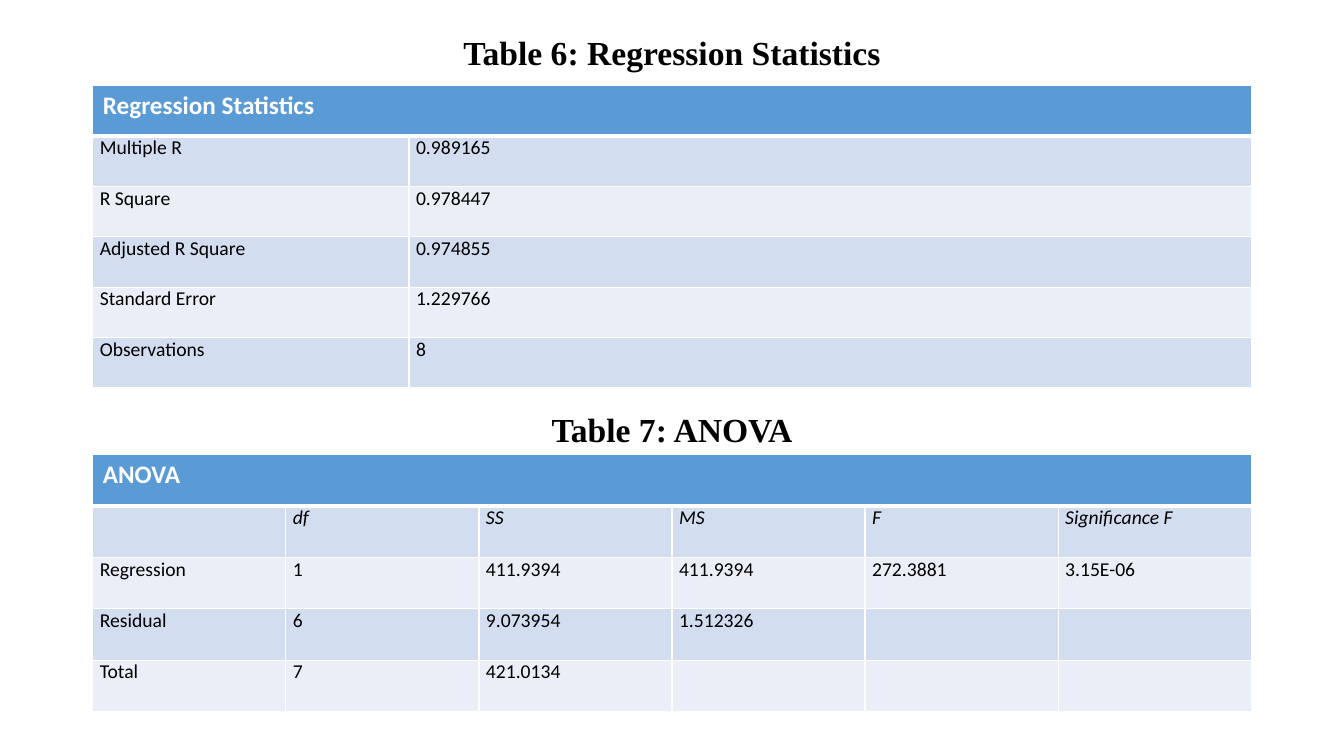
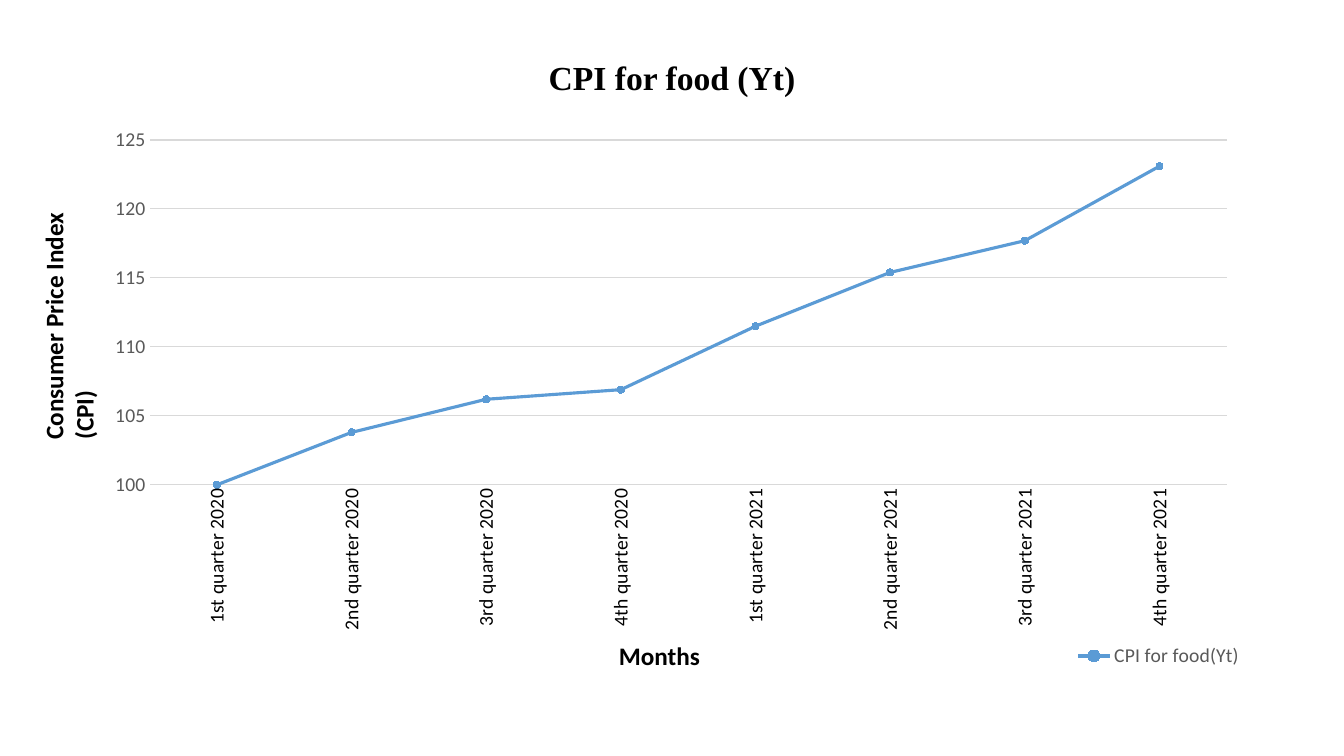
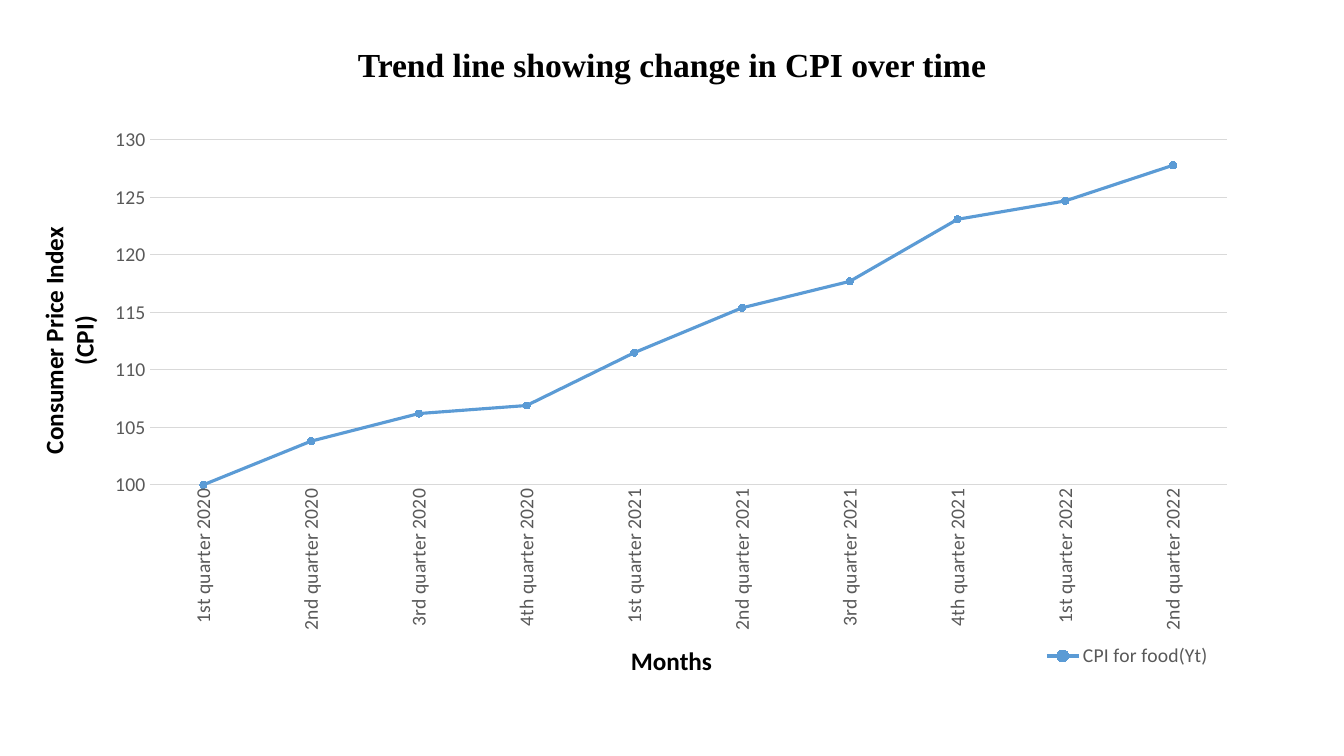
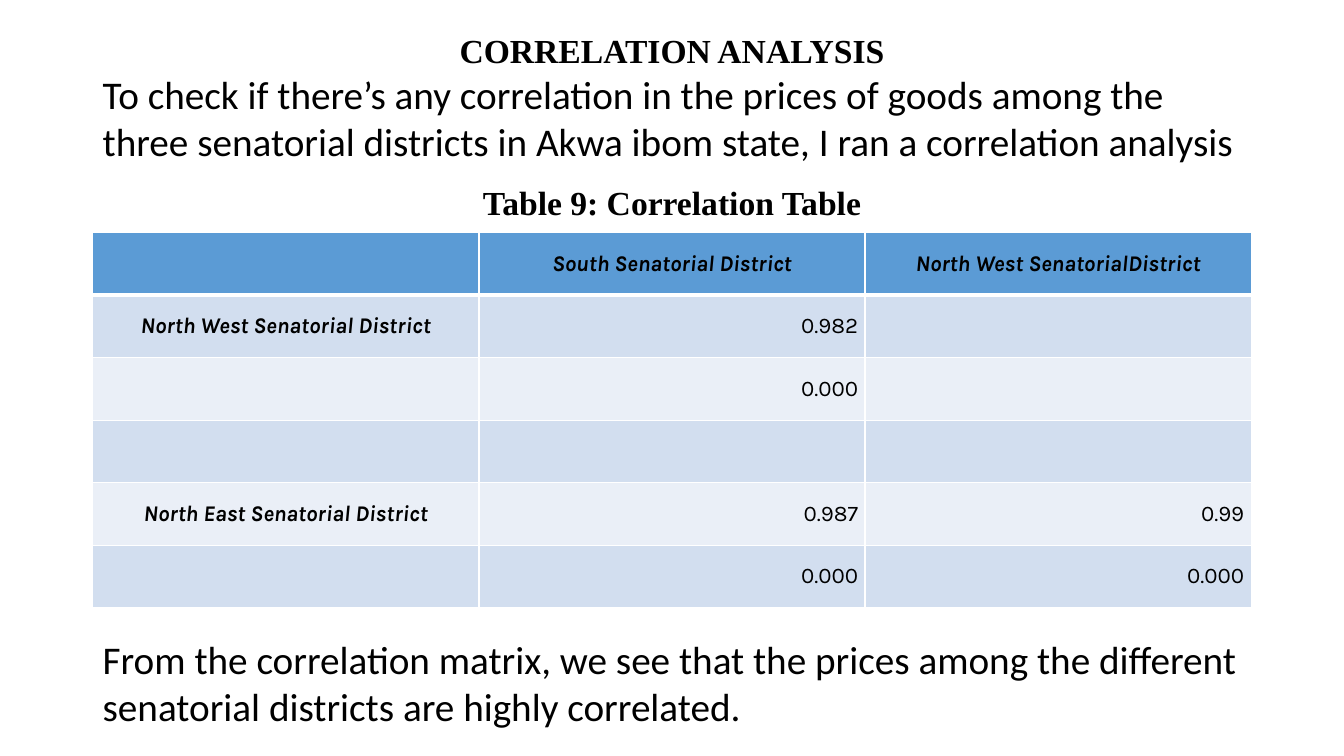
from dataclasses import dataclass
from typing import Callable, NamedTuple

from pptx import Presentation
from pptx.chart.data import CategoryChartData
from pptx.dml.color import RGBColor
from pptx.enum.chart import XL_CHART_TYPE, XL_LEGEND_POSITION, XL_MARKER_STYLE, XL_TICK_MARK
from pptx.enum.text import MSO_ANCHOR, PP_ALIGN
from pptx.oxml import parse_xml
from pptx.oxml.ns import nsdecls
from pptx.util import Inches, Pt

LEFT, CENTER, RIGHT = PP_ALIGN.LEFT, PP_ALIGN.CENTER, PP_ALIGN.RIGHT
TOP, MIDDLE = MSO_ANCHOR.TOP, MSO_ANCHOR.MIDDLE
LINE_MARKERS = XL_CHART_TYPE.LINE_MARKERS
LEGEND_BOTTOM = XL_LEGEND_POSITION.BOTTOM
CIRCLE = XL_MARKER_STYLE.CIRCLE
NO_TICK = XL_TICK_MARK.NONE

BLACK = RGBColor(0x00, 0x00, 0x00)
WHITE = RGBColor(0xFF, 0xFF, 0xFF)
GREY = RGBColor(0x59, 0x59, 0x59)
GRID_GREY = RGBColor(0xD9, 0xD9, 0xD9)
BLUE = RGBColor(0x5B, 0x9B, 0xD5)
BAND_DARK = RGBColor(0xD2, 0xDE, 0xEF)
BAND_LIGHT = RGBColor(0xEA, 0xEF, 0xF7)

SLIDE_WIDTH, SLIDE_HEIGHT = 13.33, 7.5
MARGIN = 0.92
CONTENT_WIDTH = SLIDE_WIDTH - 2 * MARGIN
HEADING_HEIGHT = 0.5
TITLE_ONLY = 5


class Box(NamedTuple):
    left: float
    top: float
    width: float
    height: float

    def emu(self) -> list:
        return [Inches(length) for length in self]


class Look(NamedTuple):
    size: float
    font: str = "Calibri"
    color: RGBColor = BLACK
    bold: bool = False
    italic: bool = False
    align: PP_ALIGN = LEFT
    anchor: MSO_ANCHOR = TOP
    inset: tuple = (0.07, 0)


HEADING = Look(24, "Times New Roman", bold=True, align=CENTER, anchor=MIDDLE)
BODY = Look(28)
AXIS_TITLE = Look(18, bold=True)
TABLE_BANNER = Look(18, color=WHITE, bold=True, inset=(0.1, 0.05))
TABLE_TEXT = Look(14)
DISTRICT = Look(16, "Karla", bold=True, italic=True, align=CENTER, anchor=MIDDLE)
COEFFICIENT = DISTRICT._replace(bold=False, italic=False, align=RIGHT)


@dataclass
class DataTable:
    top: float
    row_height: float
    shares: list[float]
    rows: list[list[str]]
    look_at: Callable[[int, int], Look]


@dataclass
class PriceChart:
    title: str
    title_top: float
    quarters: int
    label_color: RGBColor
    axis_line: bool
    legend_left: float
    months: Box
    index_top: float
    index_align: PP_ALIGN


CPI = [100, 103.8, 106.2, 106.9, 111.5, 115.4, 117.7, 123.1, 124.7, 127.8]
QUARTERS = [f"{nth} quarter {year}" for year in (2020, 2021, 2022)
            for nth in ("1st", "2nd", "3rd", "4th")]


def regression_look(row: int, col: int) -> Look:
    return TABLE_TEXT if row else TABLE_BANNER


def anova_look(row: int, col: int) -> Look:
    return TABLE_TEXT._replace(italic=True) if row == 1 else regression_look(row, col)


def correlation_look(row: int, col: int) -> Look:
    return COEFFICIENT if row and col else DISTRICT


REGRESSION = DataTable(0.85, 0.5, [0.273, 0.727], [
    ["Regression Statistics"],
    ["Multiple R", "0.989165"],
    ["R Square", "0.978447"],
    ["Adjusted R Square", "0.974855"],
    ["Standard Error", "1.229766"],
    ["Observations", "8"],
], regression_look)

ANOVA = DataTable(4.51, 0.51, [1 / 6] * 6, [
    ["ANOVA"],
    ["", "df", "SS", "MS", "F", "Significance F"],
    ["Regression", "1", "411.9394", "411.9394", "272.3881", "3.15E-06"],
    ["Residual", "6", "9.073954", "1.512326", "", ""],
    ["Total", "7", "421.0134", "", "", ""],
], anova_look)

CORRELATION = DataTable(2.31, 0.62, [1 / 3] * 3, [
    ["", "South Senatorial District", "North West SenatorialDistrict"],
    ["North West Senatorial District", "0.982", ""],
    ["", "0.000", ""],
    ["", "", ""],
    ["North East Senatorial District", "0.987", "0.99"],
    ["", "0.000", "0.000"],
], correlation_look)

CHARTS = [
    PriceChart("CPI for food (Yt)", 0.51, 8, BLACK, False, 0.845,
               Box(5.36, 6.3, 2.36, 0.4), 1.7, LEFT),
    PriceChart("Trend line showing change in CPI over time", 0.39, 10, GREY, True, 0.818,
               Box(5.53, 6.35, 2.26, 0.4), 2.0, CENTER),
]


def set_font(font, look: Look) -> None:
    font.name, font.size = look.font, Pt(look.size)
    font.bold, font.italic = look.bold, look.italic
    font.color.rgb = look.color


def write(frame, text: str, look: Look) -> None:
    frame.word_wrap = True
    frame.vertical_anchor = look.anchor
    paragraph = frame.paragraphs[0]
    paragraph.text = text
    paragraph.alignment = look.align
    set_font(paragraph.font, look)


def add_text(slide, box: Box, text: str, look: Look):
    frame = slide.shapes.add_textbox(*box.emu()).text_frame
    write(frame, text, look)
    return frame


def heading_box(top: float) -> Box:
    return Box(MARGIN, top, CONTENT_WIDTH, HEADING_HEIGHT)


def add_titled_slide(deck, title: str, top: float):
    slide = deck.slides.add_slide(deck.slide_layouts[TITLE_ONLY])
    holder = slide.shapes.title
    holder.left, holder.top, holder.width, holder.height = heading_box(top).emu()
    write(holder.text_frame, title, HEADING)
    return slide


def add_borders(cell, bottom: float) -> None:
    """White edges of 1 pt, with the bottom width in points given."""
    properties = cell._tc.get_or_add_tcPr()
    top_of_cell = 1
    for side, points in zip("LRTB", (1, 1, top_of_cell, bottom)):
        properties.append(parse_xml(
            f'<a:ln{side} {nsdecls("a")} w="{Pt(points)}"><a:solidFill>'
            f'<a:srgbClr val="{WHITE}"/></a:solidFill></a:ln{side}>'))


def add_data_table(slide, spec: DataTable) -> None:
    box = Box(MARGIN, spec.top, CONTENT_WIDTH, spec.row_height * len(spec.rows))
    table = slide.shapes.add_table(len(spec.rows), len(spec.shares), *box.emu()).table
    for column, share in zip(table.columns, spec.shares):
        column.width = Inches(CONTENT_WIDTH * share)
    for r, texts in enumerate(spec.rows):
        table.rows[r].height = Inches(spec.row_height)
        for c in range(len(spec.shares)):
            cell = table.cell(r, c)
            add_borders(cell, 1 if r else 3)
            cell.fill.solid()
            cell.fill.fore_color.rgb = (BAND_DARK if r % 2 else BAND_LIGHT) if r else BLUE
            if c < len(texts) and texts[c]:
                look = spec.look_at(r, c)
                write(cell.text_frame, texts[c], look)
                cell.vertical_anchor = look.anchor
                cell.margin_left = cell.margin_right = Inches(look.inset[0])
                cell.margin_top = cell.margin_bottom = Inches(look.inset[1])
        if len(texts) == 1:
            table.cell(r, 0).merge(table.cell(r, len(spec.shares) - 1))


def layout_xml(share: Box, inner: bool = False):
    """Manual chart layout, in shares of the chart's size."""
    target = '<c:layoutTarget val="inner"/>' if inner else ""
    sizes = "".join(f'<c:{tag} val="{value}"/>' for tag, value in zip("xywh", share))
    return parse_xml(
        f'<c:layout {nsdecls("c")}><c:manualLayout>{target}<c:xMode val="edge"/>'
        f'<c:yMode val="edge"/>{sizes}</c:manualLayout></c:layout>')


def place_chart_parts(chart, legend_left: float) -> None:
    root = chart.element
    for old in root.xpath("c:chart/c:plotArea/c:layout | c:chart/c:legend/c:layout"):
        old.getparent().remove(old)
    plot_area = root.xpath("c:chart/c:plotArea")[0]
    plot_area.insert(0, layout_xml(Box(0.049, 0.041, 0.93, 0.611), inner=True))
    legend_position = root.xpath("c:chart/c:legend/c:legendPos")[0]
    legend_position.addnext(layout_xml(Box(legend_left, 0.925, 0.15, 0.06)))
    category_text = root.xpath("c:chart/c:plotArea/c:catAx/c:txPr/a:bodyPr")[0]
    category_text.set("rot", "-5400000")
    category_text.set("vert", "horz")


def add_price_chart(slide, spec: PriceChart) -> None:
    data = CategoryChartData()
    data.categories = QUARTERS[:spec.quarters]
    data.add_series("CPI for food(Yt)", CPI[:spec.quarters])
    box = Box(MARGIN, 1.16, CONTENT_WIDTH, 5.6)
    chart = slide.shapes.add_chart(LINE_MARKERS, *box.emu(), data).chart
    chart.has_title = False
    set_font(chart.font, TABLE_TEXT)

    chart.has_legend = True
    chart.legend.position = LEGEND_BOTTOM
    chart.legend.include_in_layout = False
    set_font(chart.legend.font, TABLE_TEXT._replace(color=GREY))

    quarters, index = chart.category_axis, chart.value_axis
    for axis, color in ((quarters, spec.label_color), (index, GREY)):
        axis.major_tick_mark = axis.minor_tick_mark = NO_TICK
        axis.format.line.fill.background()
        set_font(axis.tick_labels.font, TABLE_TEXT._replace(color=color))
    if spec.axis_line:
        quarters.format.line.color.rgb = GRID_GREY
        quarters.format.line.width = Pt(0.75)
    index.minimum_scale, index.major_unit = 100, 5
    index.has_major_gridlines = True
    index.major_gridlines.format.line.color.rgb = GRID_GREY
    index.major_gridlines.format.line.width = Pt(0.75)

    chart.plots[0].vary_by_categories = False
    prices = chart.plots[0].series[0]
    prices.smooth = False
    prices.format.line.color.rgb = BLUE
    prices.format.line.width = Pt(2.25)
    prices.marker.style, prices.marker.size = CIRCLE, 5
    prices.marker.format.fill.solid()
    prices.marker.format.fill.fore_color.rgb = BLUE
    prices.marker.format.line.color.rgb = BLUE
    place_chart_parts(chart, spec.legend_left)


def add_chart_slide(deck, spec: PriceChart) -> None:
    slide = add_titled_slide(deck, spec.title, spec.title_top)
    add_price_chart(slide, spec)
    add_text(slide, spec.months, "Months", AXIS_TITLE._replace(align=CENTER))
    frame = add_text(slide, Box(0.33, spec.index_top, 0.7, 2.76), "Consumer Price Index (CPI)",
                     AXIS_TITLE._replace(align=spec.index_align))
    frame.margin_left = frame.margin_right = Inches(0.05)
    frame._txBody.bodyPr.set("vert", "vert270")


def add_regression_slide(deck) -> None:
    slide = add_titled_slide(deck, "Table 6: Regression Statistics", 0.27)
    add_data_table(slide, REGRESSION)
    add_text(slide, heading_box(4.01), "Table 7: ANOVA", HEADING)
    add_data_table(slide, ANOVA)


def add_correlation_slide(deck) -> None:
    slide = add_titled_slide(deck, "CORRELATION ANALYSIS", 0.25)
    add_text(slide, Box(MARGIN, 0.65, CONTENT_WIDTH, 1.04),
             "To check if there’s any correlation in the prices of goods among the three "
             "senatorial districts in Akwa ibom state, I ran a correlation analysis", BODY)
    add_text(slide, heading_box(1.75), "Table 9: Correlation Table", HEADING)
    add_data_table(slide, CORRELATION)
    add_text(slide, Box(MARGIN, 6.25, CONTENT_WIDTH, 1.04),
             "From the correlation matrix, we see that the prices among the different "
             "senatorial districts are highly correlated.", BODY)


def main() -> None:
    deck = Presentation()
    deck.slide_width, deck.slide_height = Inches(SLIDE_WIDTH), Inches(SLIDE_HEIGHT)
    add_regression_slide(deck)
    for spec in CHARTS:
        add_chart_slide(deck, spec)
    add_correlation_slide(deck)
    deck.save("out.pptx")


if __name__ == "__main__":
    main()
